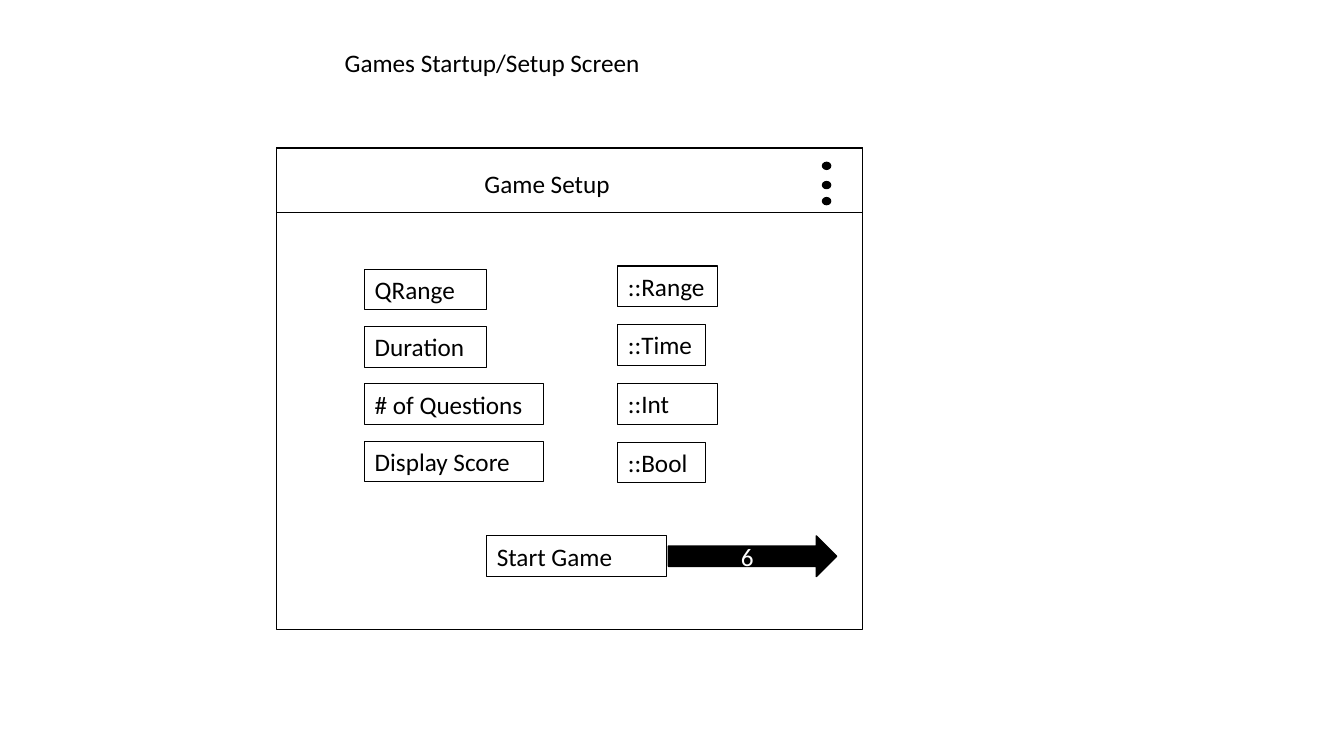
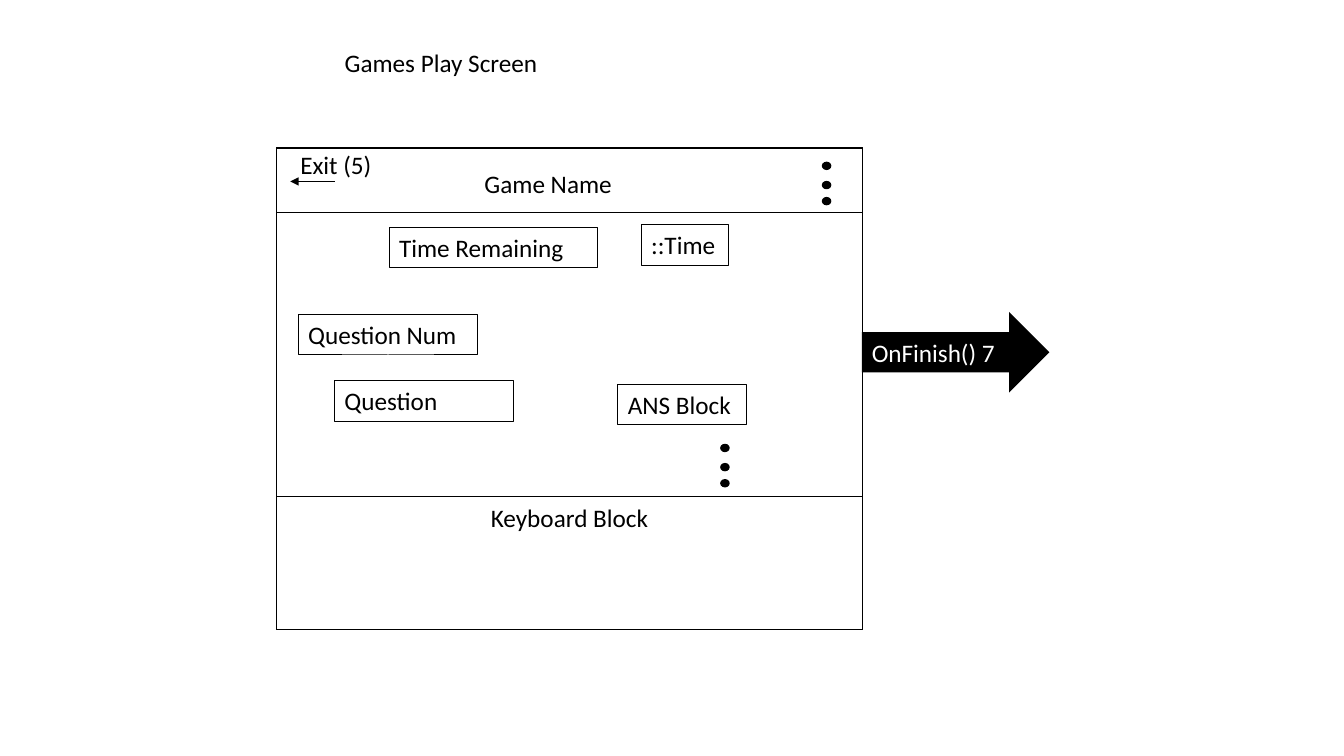
from dataclasses import dataclass

from lxml import etree
from pptx import Presentation
from pptx.dml.color import RGBColor
from pptx.enum.shapes import MSO_CONNECTOR, MSO_SHAPE
from pptx.enum.text import MSO_ANCHOR, MSO_AUTO_SIZE, PP_ALIGN
from pptx.oxml.ns import qn
from pptx.util import Pt

RECTANGLE = MSO_SHAPE.RECTANGLE
OVAL = MSO_SHAPE.OVAL
RIGHT_ARROW = MSO_SHAPE.RIGHT_ARROW
STRAIGHT = MSO_CONNECTOR.STRAIGHT
TOP = MSO_ANCHOR.TOP
MIDDLE = MSO_ANCHOR.MIDDLE
LEFT = PP_ALIGN.LEFT
CENTER = PP_ALIGN.CENTER
FIXED_SIZE = MSO_AUTO_SIZE.NONE
TITLE_ONLY = 5


@dataclass(frozen=True)
class Theme:
    ink: RGBColor = RGBColor(0, 0, 0)
    paper: RGBColor = RGBColor(255, 255, 255)
    font: str = "Calibri"
    size: float = 18
    frame_line: float = 1
    field_line: float = 0.75
    thin_line: float = 0.5
    row_height: float = 29


FRAME_LEFT, FRAME_TOP, FRAME_WIDTH, FRAME_HEIGHT = 197.3, 105.8, 419, 344
HEADER_HEIGHT = 46
DOT_WIDTH, DOT_HEIGHT = 5.8, 5
DOT_OFFSETS = (0, 13.7, 25.2)


class Wireframe:
    def __init__(self, presentation, theme):
        self.presentation = presentation
        self.theme = theme
        self.slide = None

    def add_text(self, frame, text, color, align=LEFT, anchor=TOP):
        frame.word_wrap = True
        frame.auto_size = FIXED_SIZE
        frame.vertical_anchor = anchor
        paragraph = frame.paragraphs[0]
        paragraph.alignment = align
        run = paragraph.add_run()
        run.text = text
        run.font.name = self.theme.font
        run.font.size = Pt(self.theme.size)
        run.font.color.rgb = color

    def shape(self, kind, left, top, width, height, fill=None, line=None):
        shape = self.slide.shapes.add_shape(
            kind, Pt(left), Pt(top), Pt(width), Pt(height))
        shape.shadow.inherit = False
        if fill is None:
            shape.fill.background()
        else:
            shape.fill.solid()
            shape.fill.fore_color.rgb = fill
        if line is None:
            shape.line.fill.background()
        else:
            shape.line.color.rgb = self.theme.ink
            shape.line.width = Pt(line)
        return shape

    def label(self, text, left, top, width):
        label = self.slide.shapes.add_textbox(
            Pt(left), Pt(top), Pt(width), Pt(self.theme.row_height))
        self.add_text(label.text_frame, text, self.theme.ink)

    def field(self, text, left, top, width, height=None, align=LEFT):
        field = self.shape(RECTANGLE, left, top, width,
                           height or self.theme.row_height,
                           line=self.theme.field_line)
        self.add_text(field.text_frame, text, self.theme.ink, align)

    def dots(self, left, top):
        for offset in DOT_OFFSETS:
            self.shape(OVAL, left, top + offset, DOT_WIDTH, DOT_HEIGHT,
                       self.theme.ink, self.theme.frame_line)

    def block_arrow(self, text, left, top, width, height,
                    line=None, align=LEFT, anchor=TOP):
        arrow = self.shape(RIGHT_ARROW, left, top, width, height,
                           self.theme.ink, line)
        self.add_text(arrow.text_frame, text, self.theme.paper, align, anchor)

    def thin_arrow(self, start_x, end_x, y):
        arrow = self.slide.shapes.add_connector(
            STRAIGHT, Pt(start_x), Pt(y), Pt(end_x), Pt(y))
        arrow.line.color.rgb = self.theme.ink
        arrow.line.width = Pt(self.theme.thin_line)
        properties = arrow._element.spPr
        outline = properties.find(qn("a:ln"))
        etree.SubElement(outline, qn("a:tailEnd"), type="triangle")
        etree.SubElement(properties, qn("a:effectLst"))

    def screen(self, title, heading):
        layout = self.presentation.slide_layouts[TITLE_ONLY]
        self.slide = self.presentation.slides.add_slide(layout)
        caption = self.slide.shapes.title
        caption.left, caption.top = Pt(239), Pt(30.2)
        caption.width, caption.height = Pt(405.4), Pt(self.theme.row_height)
        self.add_text(caption.text_frame, title, self.theme.ink)
        for height in (FRAME_HEIGHT, HEADER_HEIGHT):
            self.shape(RECTANGLE, FRAME_LEFT, FRAME_TOP, FRAME_WIDTH, height,
                       line=self.theme.frame_line)
        self.dots(587.5, 116)
        self.label(heading, 339, 116.6, 119.5)


def build_setup(deck):
    deck.screen("Games Startup/Setup Screen", "Game Setup")
    settings = (
        ("QRange", 87, "::Range", 71.3),
        ("Duration", 87, "::Time", 62.6),
        ("# of Questions", 128, "::Int", 71.3),
        ("Display Score", 128, "::Bool", 62.6),
    )
    for row, (name, name_width, kind, kind_width) in enumerate(settings):
        deck.field(name, 260.6, 192.2 + 41 * row, name_width)
        deck.field(kind, 441.4, 190 + 42 * row, kind_width)
    deck.field("Start Game", 347.8, 382.8, 128)
    deck.block_arrow("6", 477.4, 382.8, 120.2, 29,
                     deck.theme.frame_line, CENTER, MIDDLE)


def build_play(deck):
    deck.screen("Games Play Screen", "Game Name")
    for text, left, top, width in (
        ("Time Remaining", 278, 162.2, 149),
        ("Question Num", 213.1, 224.6, 128),
        ("Question", 239, 272, 128),
        ("::Time", 458, 160.4, 62.6),
        ("ANS Block", 441.4, 274.3, 91.6),
    ):
        deck.field(text, left, top, width)
    deck.dots(514.9, 317.5)
    keyboard_top = 355
    deck.field("Keyboard Block", FRAME_LEFT, keyboard_top, FRAME_WIDTH,
               FRAME_TOP + FRAME_HEIGHT - keyboard_top, CENTER)
    deck.thin_arrow(239, 207.4, 129.6)
    deck.label("Exit (5)", 207.4, 103, 72)
    deck.block_arrow("OnFinish() 7", 615.6, 222.8, 134, 57.6)


def main():
    presentation = Presentation()
    presentation.slide_width, presentation.slide_height = Pt(960), Pt(540)
    deck = Wireframe(presentation, Theme())
    build_setup(deck)
    build_play(deck)
    presentation.save("out.pptx")


if __name__ == "__main__":
    main()
